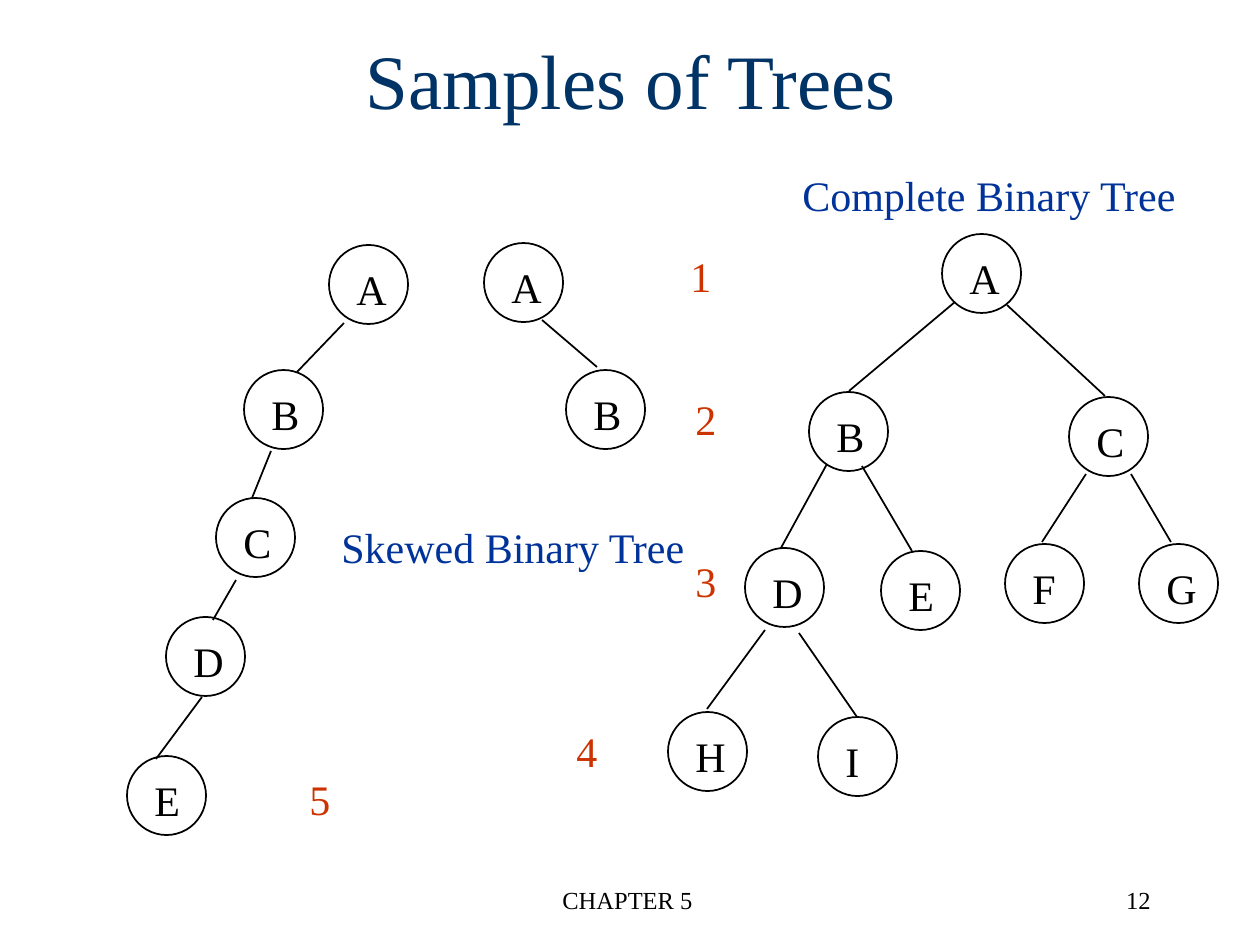
from lxml import etree
from pptx import Presentation
from pptx.dml.color import RGBColor
from pptx.enum.shapes import MSO_CONNECTOR, MSO_SHAPE
from pptx.enum.text import MSO_ANCHOR, MSO_AUTO_SIZE, PP_ALIGN
from pptx.oxml.ns import qn
from pptx.util import Pt

SCALE = 914400 / 126
LEFT, CENTER, RIGHT = PP_ALIGN.LEFT, PP_ALIGN.CENTER, PP_ALIGN.RIGHT
MIDDLE, TOP = MSO_ANCHOR.MIDDLE, MSO_ANCHOR.TOP
FIT_SHAPE, FIXED = MSO_AUTO_SIZE.SHAPE_TO_FIT_TEXT, MSO_AUTO_SIZE.NONE
OVAL, STRAIGHT = MSO_SHAPE.OVAL, MSO_CONNECTOR.STRAIGHT

BLACK = RGBColor(0x00, 0x00, 0x00)
NAVY = RGBColor(0x00, 0x33, 0x66)
BLUE = RGBColor(0x00, 0x33, 0x99)
RED = RGBColor(0xCC, 0x33, 0x00)

NODE_SIZE = 79
LABEL_HEIGHT = 63
LABEL_WIDTHS = {"A": 55, "B": 53, "C": 53, "D": 55, "E": 52,
                "F": 49, "G": 55, "H": 55, "I": 39}


def px(*lengths):
    return [round(length * SCALE) for length in lengths]


def write_text(box, text, size, color, align=LEFT, anchor=TOP, wrap=False):
    frame = box.text_frame
    frame_format = {
        "word_wrap": wrap,
        "auto_size": FIXED if wrap else FIT_SHAPE,
        "vertical_anchor": anchor,
    }
    for name, value in frame_format.items():
        setattr(frame, name, value)
    para = frame.paragraphs[0]
    para.alignment = align
    span = para.add_run()
    span.text = text
    for name, value in {"name": "Times New Roman", "size": Pt(size)}.items():
        setattr(span.font, name, value)
    span.font.color.rgb = color


deck = Presentation()
deck.slide_width, deck.slide_height = px(1260, 945)
page = deck.slides.add_slide(deck.slide_layouts[5])

title = page.shapes.title
title.left, title.top, title.width, title.height = px(0, 0, 1262, 158)
write_text(title, "Samples of Trees", 44, NAVY, CENTER, MIDDLE, True)

skewed_left = [("A", 329, 245), ("B", 244, 370), ("C", 216, 498),
               ("D", 166, 617), ("E", 127, 756)]
skewed_right = [("A", 484, 243), ("B", 566, 370)]
complete = [("A", 942, 234), ("B", 809, 392), ("C", 1069, 397),
            ("D", 745, 548), ("E", 881, 551), ("F", 1005, 544),
            ("G", 1139, 544), ("H", 668, 712), ("I", 818, 717)]

for letter, left, top in skewed_left + skewed_right + complete:
    node = page.shapes.add_group_shape()
    circle = node.shapes.add_shape(OVAL, *px(left, top, NODE_SIZE, NODE_SIZE))
    circle.shadow.inherit = False
    circle.fill.background()
    circle.line.color.rgb = BLACK
    circle.line.width = Pt(1)
    label = node.shapes.add_textbox(
        *px(left + 15, top + 12, LABEL_WIDTHS[letter], LABEL_HEIGHT))
    write_text(label, letter, 24, BLACK)

edges = [
    (344, 323, 297, 372), (271, 451, 252, 498), (236, 580, 213, 620),
    (202, 697, 156, 759), (542, 320, 597, 367),
    (955, 302, 849, 391), (1007, 305, 1105, 396),
    (827, 464, 781, 548), (862, 466, 912, 551),
    (1086, 474, 1042, 542), (1131, 474, 1171, 542),
    (765, 630, 707, 709), (799, 633, 857, 717),
]
for ends in edges:
    edge = page.shapes.add_connector(STRAIGHT, *px(*ends))
    edge.line.color.rgb = BLACK
    edge.line.width = Pt(1)
    etree.SubElement(edge._element.spPr, qn("a:effectLst"))

captions = [
    ("Complete Binary Tree", 790, 163, 401, BLUE),
    ("Skewed Binary Tree", 329, 515, 370, BLUE),
    ("1", 678, 244, 45, RED),
    ("2", 683, 387, 45, RED),
    ("3", 683, 549, 45, RED),
    ("4", 564, 719, 45, RED),
    ("5", 297, 767, 45, RED),
]
for text, left, top, width, color in captions:
    caption = page.shapes.add_textbox(*px(left, top, width, LABEL_HEIGHT))
    write_text(caption, text, 24, color)

footers = [("CHAPTER 5", 428, 399, CENTER), ("12", 901, 262, RIGHT)]
for text, left, width, align in footers:
    footer = page.shapes.add_textbox(*px(left, 879, width, LABEL_HEIGHT))
    write_text(footer, text, 14, BLACK, align, wrap=True)

deck.save("out.pptx")
